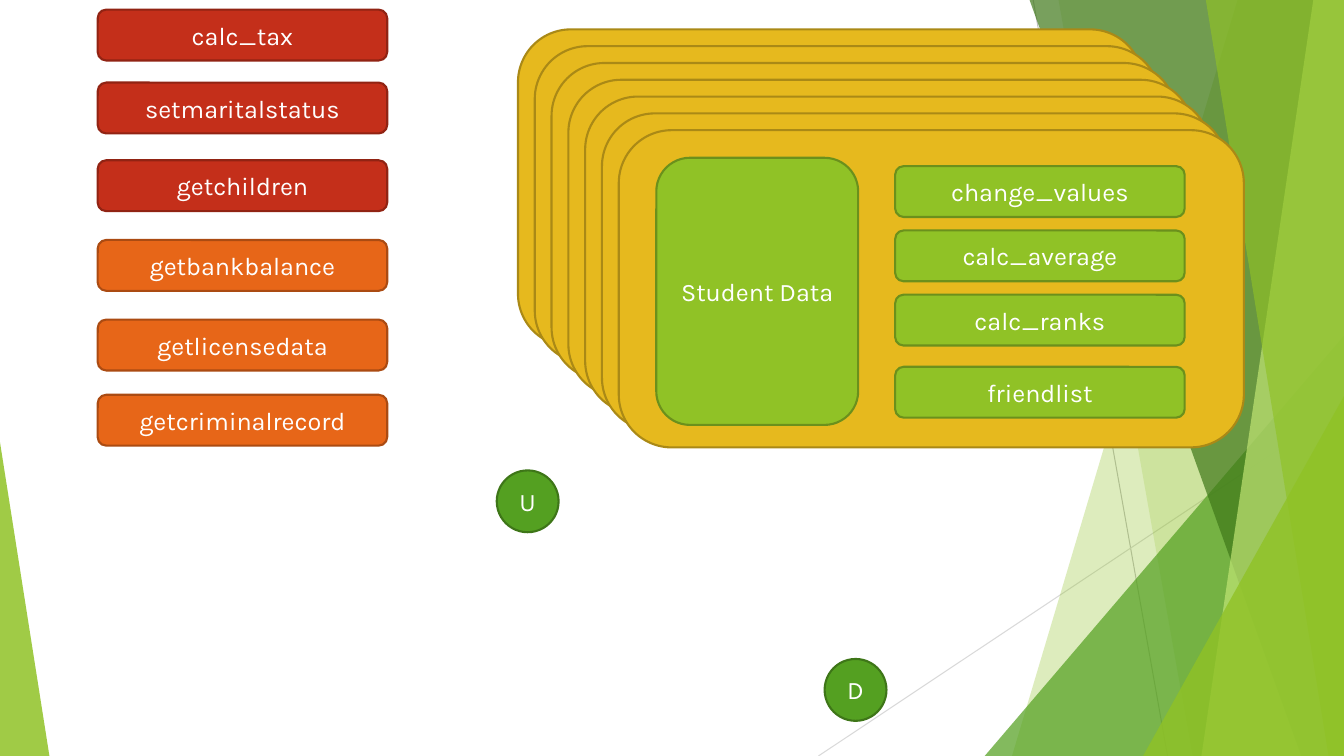
from pptx import Presentation
from pptx.dml.color import RGBColor
from pptx.enum.shapes import MSO_CONNECTOR, MSO_SHAPE
from pptx.enum.text import MSO_ANCHOR, PP_ALIGN
from pptx.oxml.ns import qn
from pptx.util import Pt
from lxml import etree

ROUNDED = MSO_SHAPE.ROUNDED_RECTANGLE
CIRCLE = MSO_SHAPE.OVAL
TRIANGLE = MSO_SHAPE.ISOSCELES_TRIANGLE
STRAIGHT = MSO_CONNECTOR.STRAIGHT
MIDDLE = MSO_ANCHOR.MIDDLE
CENTER = PP_ALIGN.CENTER

WIDTH, HEIGHT = 960, 540
FACET_TOP = -0.7

COLORS = {
    "white": "FFFFFF",
    "gold": "E6B91E", "gold_edge": "AA8916",
    "red": "C42F1A", "red_edge": "912313",
    "orange": "E76618", "orange_edge": "AB4B12",
    "lime": "90C226", "lime_edge": "6B901C",
    "green": "54A021", "green_edge": "3E7618",
    "forest": "3F7819", "pale": "C0E474",
    "gray": "BFBFBF", "light_gray": "D9D9D9",
}


class SlideBuilder:
    label_font = {"name": "Karla", "size": Pt(18)}
    edge_width = 1.5

    def __init__(self, slide):
        self.slide = slide
        self.shapes = slide.shapes

    def color(self, name):
        return RGBColor.from_string(COLORS[name])

    def paint(self, shape, color, opacity):
        shape.shadow.inherit = False
        shape.fill.solid()
        shape.fill.fore_color.rgb = self.color(color)
        shape.line.fill.background()
        rgb = shape.fill._xPr.find(qn("a:solidFill")).find(qn("a:srgbClr"))
        etree.SubElement(rgb, qn("a:alpha"), val=str(opacity * 1000))

    def hairline(self, x1, y1, x2, y2, color):
        line = self.shapes.add_connector(STRAIGHT, Pt(x1), Pt(y1), Pt(x2), Pt(y2))
        line.line.color.rgb = self.color(color)
        line.line.width = Pt(0.75)
        etree.SubElement(line._element.spPr, qn("a:effectLst"))

    def facet(self, top_x, bottom_x, color, opacity):
        """Panel from a slanted left edge to the right side of the slide."""
        outline = self.shapes.build_freeform(Pt(top_x), Pt(FACET_TOP))
        corners = [(WIDTH, FACET_TOP), (WIDTH, HEIGHT), (bottom_x, HEIGHT)]
        outline.add_line_segments([(Pt(x), Pt(y)) for x, y in corners])
        self.paint(outline.convert_to_shape(), color, opacity)

    def corner(self, left, top, width, apex, color, opacity):
        """Triangle that stands on the bottom of the slide."""
        triangle = self.shapes.add_shape(
            TRIANGLE, Pt(left), Pt(top), Pt(width), Pt(HEIGHT - top))
        triangle.adjustments[0] = apex
        self.paint(triangle, color, opacity)

    def block(self, kind, left, top, width, height, color, label=None):
        block = self.shapes.add_shape(kind, Pt(left), Pt(top), Pt(width), Pt(height))
        block.shadow.inherit = False
        block.fill.solid()
        block.fill.fore_color.rgb = self.color(color)
        block.line.color.rgb = self.color(color + "_edge")
        block.line.width = Pt(self.edge_width)
        if label:
            frame = block.text_frame
            frame.word_wrap = True
            frame.vertical_anchor = MIDDLE
            paragraph = frame.paragraphs[0]
            paragraph.alignment = CENTER
            run = paragraph.add_run()
            run.text = label
            for attribute, value in self.label_font.items():
                setattr(run.font, attribute, value)
            run.font.color.rgb = self.color("white")

    def function(self, left, top, color, label):
        self.block(ROUNDED, left, top, 206.8, 36.3, color, label)


def main():
    presentation = Presentation()
    presentation.slide_width, presentation.slide_height = Pt(WIDTH), Pt(HEIGHT)
    slide = presentation.slides.add_slide(presentation.slide_layouts[6])
    builder = SlideBuilder(slide)

    # Faceted backdrop
    builder.hairline(738, 0, 834, HEIGHT, "gray")
    builder.hairline(WIDTH, 290, 584.6, HEIGHT, "light_gray")
    builder.facet(884.2, 722.9, "lime", 30)
    builder.facet(756, 851.8, "lime", 20)
    builder.corner(703.4, 239.8, 256.6, 1, "green", 72)
    builder.facet(735.2, 929.5, "forest", 70)
    builder.facet(938.2, 858.2, "pale", 70)
    builder.facet(861.2, 949, "lime", 65)
    builder.corner(816.5, 283, 143.5, 1, "lime", 80)
    builder.corner(0, 316, 35.3, 0, "lime", 85)

    # Stack of student cards
    for step in range(7):
        builder.block(ROUNDED, 370 + 12 * step, 21 + 12 * step, 446.5, 226.6, "gold")

    # Functions outside the cards
    outside_functions = [
        (6.9, "red", "calc_tax"),
        (59, "red", "setmaritalstatus"),
        (114.5, "red", "getchildren"),
        (171.4, "orange", "getbankbalance"),
        (228.3, "orange", "getlicensedata"),
        (282, "orange", "getcriminalrecord"),
    ]
    for top, color, label in outside_functions:
        builder.function(69.8, top, color, label)

    # Front card: data and its functions
    builder.block(ROUNDED, 468.8, 112.7, 144.2, 190.8, "lime", "Student Data")
    student_functions = [
        (118.7, "change_values"),
        (164.6, "calc_average"),
        (210.5, "calc_ranks"),
        (262, "friendlist"),
    ]
    for top, label in student_functions:
        builder.function(639.4, top, "lime", label)

    # Users
    for left, top, user in [(354.8, 336, "U"), (589, 470.7, "D")]:
        builder.block(CIRCLE, left, top, 44.2, 44.2, "green", user)

    presentation.save("out.pptx")


if __name__ == "__main__":
    main()
